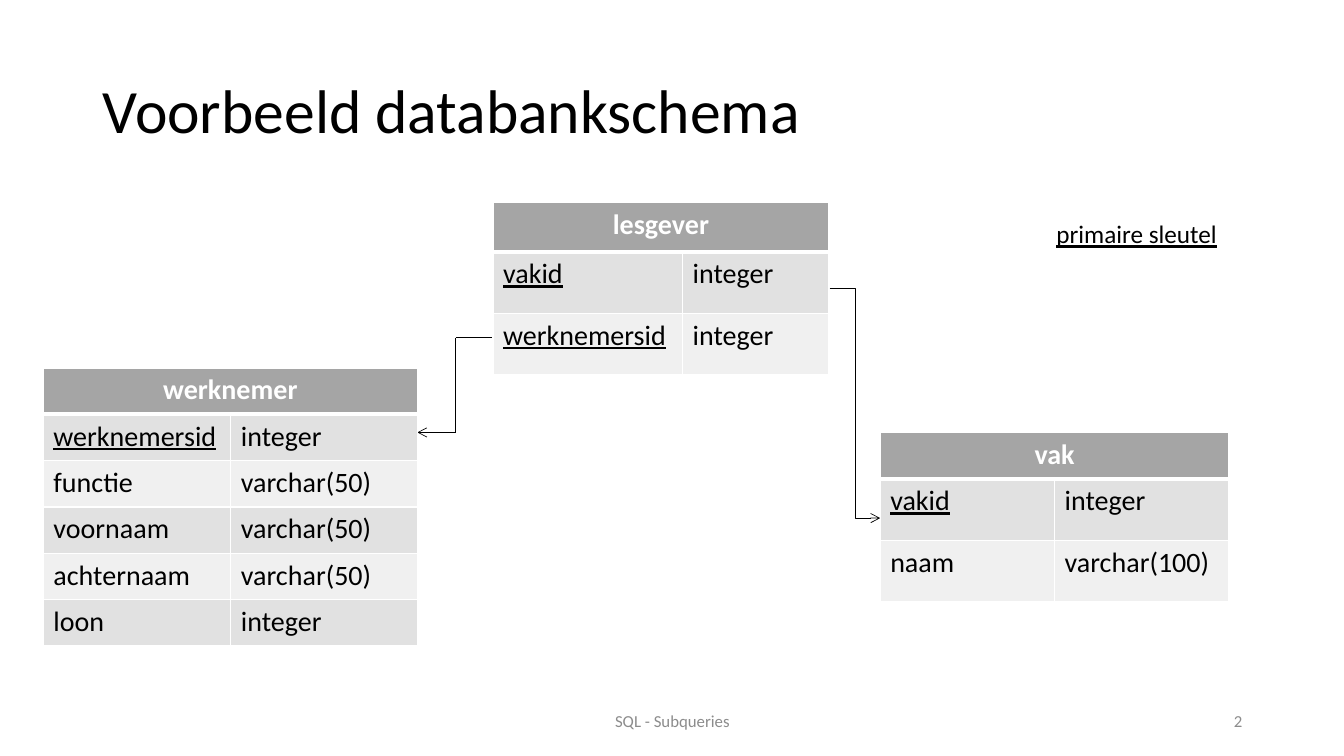
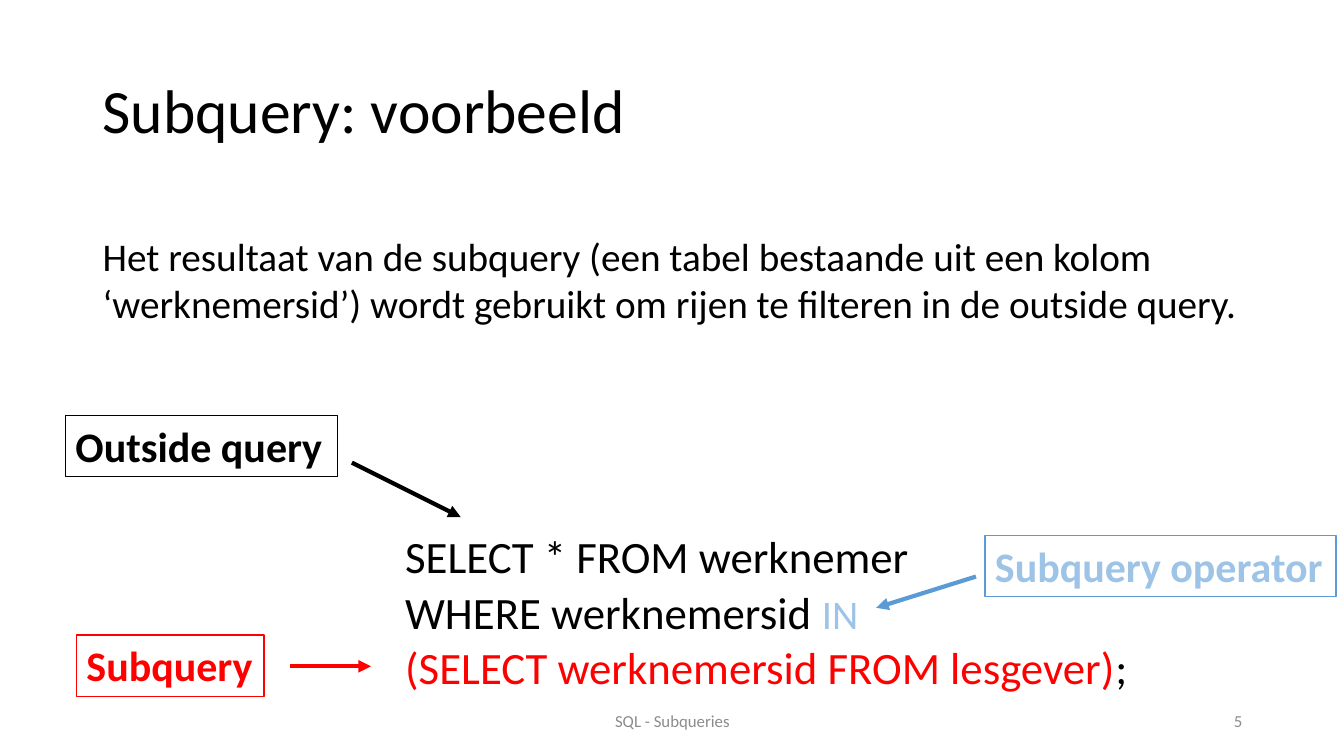
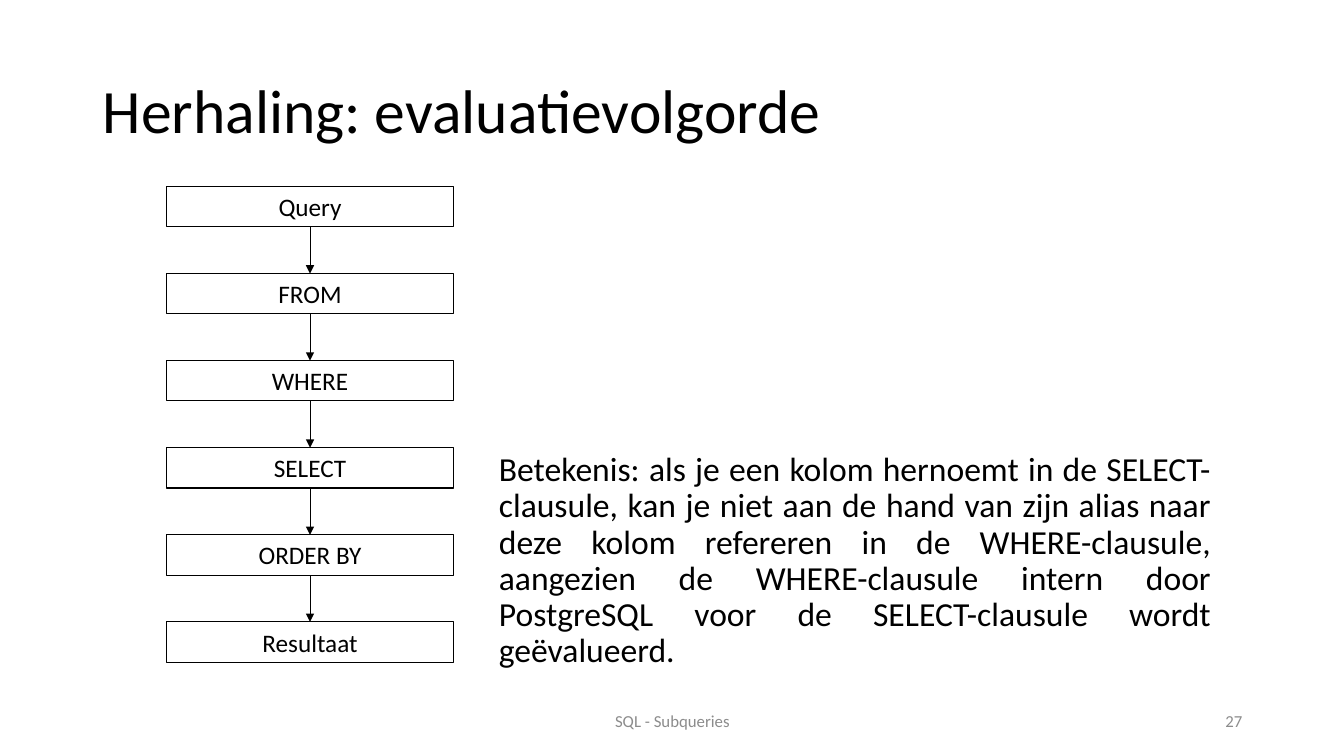
from dataclasses import dataclass
from itertools import pairwise

from lxml import etree
from pptx import Presentation
from pptx.dml.color import RGBColor
from pptx.enum.shapes import MSO_CONNECTOR, MSO_SHAPE
from pptx.enum.text import MSO_ANCHOR, PP_ALIGN
from pptx.oxml.ns import qn
from pptx.util import Inches, Pt

LEFT, CENTER = PP_ALIGN.LEFT, PP_ALIGN.CENTER
RIGHT, JUSTIFY = PP_ALIGN.RIGHT, PP_ALIGN.JUSTIFY
TOP, MIDDLE = MSO_ANCHOR.TOP, MSO_ANCHOR.MIDDLE
STRAIGHT, ELBOW = MSO_CONNECTOR.STRAIGHT, MSO_CONNECTOR.ELBOW
RECTANGLE = MSO_SHAPE.RECTANGLE

FONT = "Calibri"
BLACK, WHITE, RED = "000000", "FFFFFF", "FF0000"
BLUE, LIGHT_BLUE = "5B9BD5", "9DC3E6"
FOOTER_GRAY, HEADER_GRAY = "8C8C8C", "A5A5A5"
BAND_GRAYS = ("E1E1E1", "F0F0F0")
FOOTER = "SQL - Subqueries"


@dataclass(frozen=True)
class Frame:
    left: float
    top: float
    width: float
    height: float

    def lengths(self):
        return tuple(Inches(v) for v in (self.left, self.top, self.width, self.height))


@dataclass(frozen=True)
class Run:
    text: str
    color: str = BLACK
    size: float = 32


@dataclass(frozen=True)
class Column:
    name: str
    datatype: str
    is_key: bool = False


@dataclass(frozen=True)
class Relation:
    name: str
    left: float
    top: float
    widths: tuple[float, float]
    header_height: float
    row_height: float
    columns: tuple[Column, ...]


@dataclass(frozen=True)
class Arrow:
    start: tuple[float, float]
    end: tuple[float, float]
    color: str = BLACK
    weight: float = 0.5
    head: str = "triangle"
    route: int = STRAIGHT


@dataclass(frozen=True)
class Callout:
    text: str
    frame: Frame
    text_color: str
    line_color: str
    arrow: Arrow


RELATIONS = (
    Relation("werknemer", 0.43, 3.65, (1.86, 1.85), 0.46, 0.46, (
        Column("werknemersid", "integer", True),
        Column("functie", "varchar(50)"),
        Column("voornaam", "varchar(50)"),
        Column("achternaam", "varchar(50)"),
        Column("loon", "integer"),
    )),
    Relation("lesgever", 4.89, 2.01, (1.88, 1.45), 0.49, 0.61, (
        Column("vakid", "integer", True),
        Column("werknemersid", "integer", True),
    )),
    Relation("vak", 8.73, 4.29, (1.73, 1.73), 0.46, 0.61, (
        Column("vakid", "integer", True),
        Column("naam", "varchar(100)"),
    )),
)
VAK_KEY = Arrow((8.23, 2.86), (8.73, 5.14), head="arrow", route=ELBOW)
WERKNEMER_KEY = ((4.89, 3.35), (4.52, 3.35), (4.52, 4.29), (4.14, 4.29))
CALLOUTS = (
    Callout("Subquery operator", Frame(9.77, 5.31, 3.48, 0.61), LIGHT_BLUE, BLUE,
            Arrow((9.68, 5.72), (8.69, 6.03), BLUE, 3)),
    Callout("Subquery", Frame(0.76, 6.3, 1.86, 0.61), RED, RED,
            Arrow((2.88, 6.61), (3.68, 6.61), RED, 3)),
    Callout("Outside query", Frame(0.65, 4.12, 2.7, 0.61), BLACK, BLACK,
            Arrow((3.49, 4.59), (4.57, 5.13), BLACK, 3)),
)
QUERY = (
    (Run("SELECT * FROM werknemer"),),
    (Run("WHERE werknemersid "), Run("IN", LIGHT_BLUE, 29)),
    (Run("(SELECT werknemersid FROM lesgever)", RED), Run(";")),
)
STEPS = ("Query", "FROM", "WHERE", "SELECT", "ORDER BY", "Resultaat")
FIRST_STEP_TOP, LAST_STEP_TOP = 1.85, 6.17
STEP_PITCH = (LAST_STEP_TOP - FIRST_STEP_TOP) / (len(STEPS) - 1)


def rgb(color: str) -> RGBColor:
    return RGBColor.from_string(color)


def format_font(font, *, size: float, color: str = BLACK, bold: bool = False,
                underline: bool = False) -> None:
    font.name = FONT
    font.size = Pt(size)
    font.color.rgb = rgb(color)
    font.bold = bold
    font.underline = underline


def write(text_frame, text: str, *, align=LEFT, spacing: float = 1.0, **font_format) -> None:
    paragraph = text_frame.paragraphs[0]
    paragraph.alignment = align
    paragraph.line_spacing = spacing
    run = paragraph.add_run()
    run.text = text
    format_font(run.font, **font_format)


def add_text(slide, frame: Frame, text: str, *, anchor=TOP, **text_format) -> None:
    text_frame = slide.shapes.add_textbox(*frame.lengths()).text_frame
    text_frame.word_wrap = True
    text_frame.vertical_anchor = anchor
    write(text_frame, text, **text_format)


def add_box(slide, frame: Frame, text: str, *, line: str, weight: float,
            fill: str | None = None, **text_format):
    box = slide.shapes.add_shape(RECTANGLE, *frame.lengths())
    box.shadow.inherit = False
    if fill:
        box.fill.solid()
        box.fill.fore_color.rgb = rgb(fill)
    else:
        box.fill.background()
    box.line.color.rgb = rgb(line)
    box.line.width = Pt(weight)
    box.text_frame.word_wrap = True
    box.text_frame.vertical_anchor = TOP
    write(box.text_frame, text, **text_format)
    return box


def add_arrow(container, arrow: Arrow):
    points = [Inches(v) for v in (*arrow.start, *arrow.end)]
    connector = container.shapes.add_connector(arrow.route, *points)
    connector.line.color.rgb = rgb(arrow.color)
    connector.line.width = Pt(arrow.weight)
    properties = connector._element.spPr
    etree.SubElement(properties.find(qn("a:ln")), qn("a:tailEnd"), type=arrow.head)
    etree.SubElement(properties, qn("a:effectLst"))
    return connector


def add_stepped_arrow(slide, corners: tuple[tuple[float, float], ...]) -> None:
    group = slide.shapes.add_group_shape()
    for start, end in pairwise(corners):
        head = "arrow" if end == corners[-1] else "none"
        add_arrow(group, Arrow(start, end, head=head))


def style_cell(cell, fill: str, *, top: float = 1, bottom: float = 1) -> None:
    properties = cell._tc.get_or_add_tcPr()
    for side, weight in (("L", 1), ("R", 1), ("T", top), ("B", bottom)):
        border = etree.SubElement(properties, qn(f"a:ln{side}"), w=str(Pt(weight)))
        paint = etree.SubElement(border, qn("a:solidFill"))
        etree.SubElement(paint, qn("a:srgbClr"), val=WHITE)
    cell.fill.solid()
    cell.fill.fore_color.rgb = rgb(fill)


def add_relation(slide, relation: Relation) -> None:
    count = len(relation.columns)
    frame = Frame(relation.left, relation.top, sum(relation.widths),
                  relation.header_height + count * relation.row_height)
    table = slide.shapes.add_table(count + 1, 2, *frame.lengths()).table
    for table_column, width in zip(table.columns, relation.widths):
        table_column.width = Inches(width)
    for index, row in enumerate(table.rows):
        row.height = Inches(relation.row_height if index else relation.header_height)

    header = table.cell(0, 0)
    header.merge(table.cell(0, 1))
    for cell in table.rows[0].cells:
        style_cell(cell, HEADER_GRAY, bottom=3)
    write(header.text_frame, relation.name, align=CENTER, size=20, color=WHITE, bold=True)

    for index, column in enumerate(relation.columns):
        name_cell, type_cell = table.rows[index + 1].cells
        for cell in (name_cell, type_cell):
            style_cell(cell, BAND_GRAYS[index % 2], top=1 if index else 3)
        write(name_cell.text_frame, column.name, size=20, underline=column.is_key)
        write(type_cell.text_frame, column.datatype, size=20)


def add_query(slide, frame: Frame) -> None:
    text_frame = slide.shapes.add_textbox(*frame.lengths()).text_frame
    text_frame.word_wrap = True
    for index, runs in enumerate(QUERY):
        paragraph = text_frame.add_paragraph() if index else text_frame.paragraphs[0]
        paragraph.line_spacing = 0.9
        paragraph.space_before = Pt(5 if index else 0)
        for part in runs:
            run = paragraph.add_run()
            run.text = part.text
            format_font(run.font, size=part.size, color=part.color)


def new_slide(presentation, title: str, number: int):
    slide = presentation.slides.add_slide(presentation.slide_layouts[6])
    add_text(slide, Frame(0.92, 0.4, 11.5, 1.45), title, anchor=MIDDLE, spacing=0.9, size=44)
    add_text(slide, Frame(4.42, 6.95, 4.5, 0.4), FOOTER, anchor=MIDDLE, align=CENTER,
             size=12, color=FOOTER_GRAY)
    add_text(slide, Frame(9.42, 6.95, 3, 0.4), str(number), anchor=MIDDLE, align=RIGHT,
             size=12, color=FOOTER_GRAY)
    return slide


def build_schema(presentation) -> None:
    slide = new_slide(presentation, "Voorbeeld databankschema", 2)
    add_arrow(slide, VAK_KEY)
    add_stepped_arrow(slide, WERKNEMER_KEY)
    for relation in RELATIONS:
        add_relation(slide, relation)
    add_text(slide, Frame(10.38, 2.12, 2.12, 0.4), "primaire sleutel", size=18, underline=True)


def build_subquery(presentation) -> None:
    slide = new_slide(presentation, "Subquery: voorbeeld", 5)
    add_text(slide, Frame(0.92, 2.26, 11.97, 1.04),
             "Het resultaat van de subquery (een tabel bestaande uit een kolom "
             "‘werknemersid’) wordt gebruikt om rijen te filteren in de outside query.",
             size=28)
    for callout in CALLOUTS:
        add_box(slide, callout.frame, callout.text, line=callout.line_color, weight=1,
                fill=WHITE, size=30, color=callout.text_color, bold=True)
        add_arrow(slide, callout.arrow)
    add_query(slide, Frame(3.92, 5.26, 8.8, 1.7))


def build_evaluation(presentation) -> None:
    slide = new_slide(presentation, "Herhaling: evaluatievolgorde", 27)
    previous = None
    for index, step in enumerate(STEPS):
        top = FIRST_STEP_TOP + index * STEP_PITCH
        box = add_box(slide, Frame(1.65, top, 2.85, 0.4), step, line=BLACK, weight=0.75,
                      align=CENTER, size=18)
        if previous is not None:
            arrow = add_arrow(slide, Arrow((3.07, top - 0.46), (3.07, top)))
            arrow.begin_connect(previous, 2)
            arrow.end_connect(box, 0)
        previous = box
    add_text(slide, Frame(4.85, 4.44, 7.26, 2.38),
             "Betekenis: als je een kolom hernoemt in de SELECT-clausule, kan je niet aan "
             "de hand van zijn alias naar deze kolom refereren in de WHERE-clausule, "
             "aangezien de WHERE-clausule intern door PostgreSQL voor de SELECT-clausule "
             "wordt geëvalueerd.",
             align=JUSTIFY, spacing=0.9, size=24)


def main() -> None:
    presentation = Presentation()
    presentation.slide_width = Inches(13.33)
    presentation.slide_height = Inches(7.5)
    build_schema(presentation)
    build_subquery(presentation)
    build_evaluation(presentation)
    presentation.save("out.pptx")


if __name__ == "__main__":
    main()
